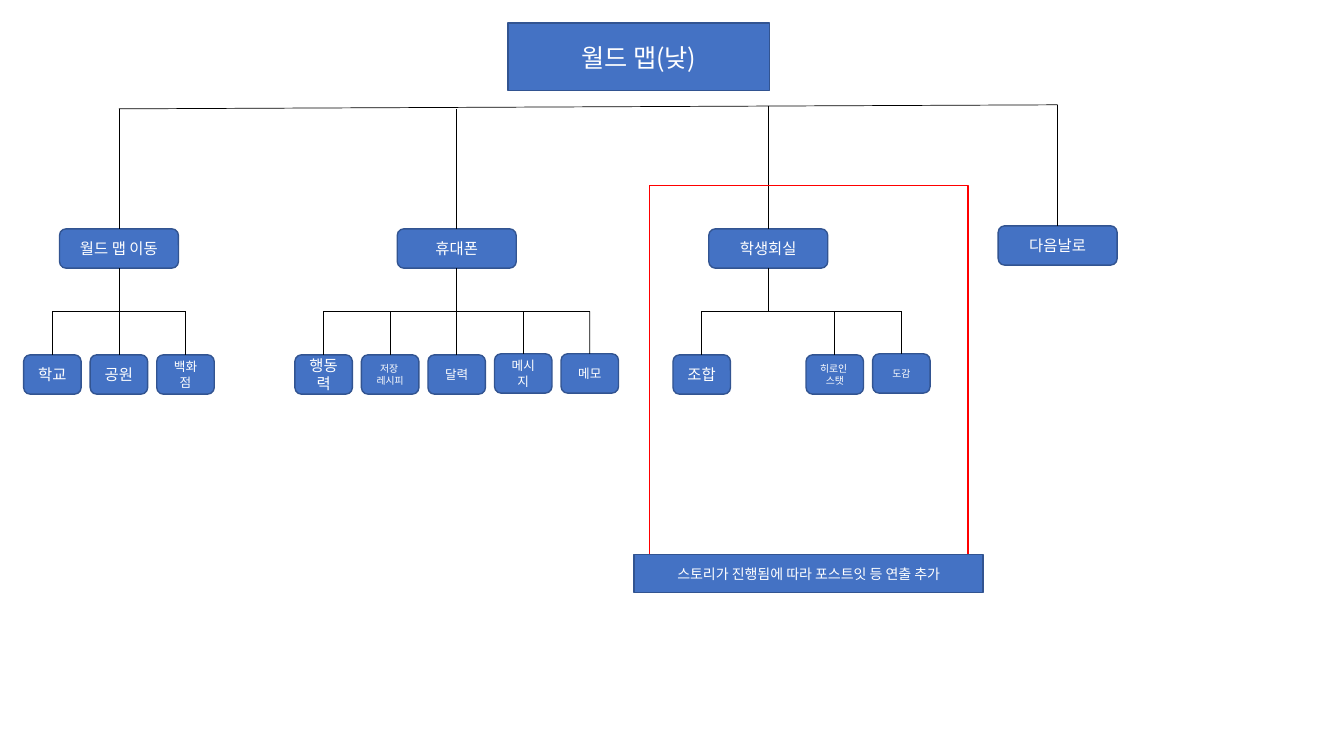
"""Build the daytime world map menu tree slide."""
from dataclasses import dataclass

from lxml.etree import SubElement
from pptx import Presentation
from pptx.dml.color import RGBColor
from pptx.enum.shapes import MSO_CONNECTOR, MSO_SHAPE
from pptx.enum.text import MSO_ANCHOR, MSO_AUTO_SIZE, PP_ALIGN
from pptx.oxml.ns import qn
from pptx.util import Inches, Pt


@dataclass(frozen=True)
class Theme:
    font: str = "Noto Sans CJK KR"
    box_fill: str = "4472C4"
    box_line: str = "325491"
    text: str = "FFFFFF"
    link: str = "000000"
    frame: str = "FF0000"
    title_size: int = 18
    label_size: int = 11
    note_size: int = 10
    small_size: int = 9
    tiny_size: int = 7
    border: float = 1
    link_width: float = 0.5


class MenuPage:
    def __init__(self, page, theme):
        self.page = page
        self.theme = theme

    def outline(self, shape, color, width):
        shape.line.color.rgb = RGBColor.from_string(color)
        shape.line.width = Pt(width)

    def fill(self, shape):
        shape.fill.solid()
        shape.fill.fore_color.rgb = RGBColor.from_string(self.theme.box_fill)
        self.outline(shape, self.theme.box_line, self.theme.border)

    def add_text(self, shape, lines, size):
        frame = shape.text_frame
        frame.word_wrap = True
        frame.auto_size = MSO_AUTO_SIZE.NONE
        frame.vertical_anchor = MSO_ANCHOR.MIDDLE
        for index, line in enumerate(lines):
            para = frame.add_paragraph() if index else frame.paragraphs[0]
            para.alignment = PP_ALIGN.CENTER
            span = para.add_run()
            span.text = line
            span.font.size = Pt(size)
            span.font.name = self.theme.font
            span.font.color.rgb = RGBColor.from_string(self.theme.text)
            SubElement(span.font._element, qn("a:ea"), typeface=self.theme.font)

    def title(self, text, left, top, width, height):
        box = self.page.shapes.title
        box.left, box.top = Inches(left), Inches(top)
        box.width, box.height = Inches(width), Inches(height)
        outline = SubElement(box._element.spPr, qn("a:prstGeom"), prst="roundRect")
        SubElement(outline, qn("a:avLst"))
        self.fill(box)
        self.add_text(box, [text], self.theme.title_size)

    def box(self, lines, size, left, top, width, height, kind=MSO_SHAPE.ROUNDED_RECTANGLE):
        box = self.page.shapes.add_shape(
            kind, Inches(left), Inches(top), Inches(width), Inches(height))
        box.shadow.inherit = False
        self.fill(box)
        self.add_text(box, lines, size)
        return box

    def frame(self, left, top, width, height):
        frame = self.page.shapes.add_shape(
            MSO_SHAPE.RECTANGLE, Inches(left), Inches(top), Inches(width), Inches(height))
        frame.shadow.inherit = False
        frame.fill.background()
        self.outline(frame, self.theme.frame, self.theme.border)

    def link(self, start, end, above=None, below=None):
        link = self.page.shapes.add_connector(
            MSO_CONNECTOR.STRAIGHT, *(Inches(value) for value in (*start, *end)))
        if above is not None:
            link.begin_connect(above, 2)
        if below is not None:
            link.end_connect(below, 0)
        self.outline(link, self.theme.link, self.theme.link_width)
        SubElement(link._element.spPr, qn("a:effectLst"))

    def branch(self, label, center, rail_y, top, leaves):
        width, height = 1.18, 0.39
        leaf_width, step, leaf_rail = 0.57, 0.66, 3.09
        menu = self.box([label], self.theme.label_size, center - width / 2, top, width, height)
        self.link((center, rail_y), (center, top), below=menu)
        if not leaves:
            return
        self.link((center, top + height), (center, leaf_rail), above=menu)
        middles = [center + slot * step for slot, *_ in leaves]
        self.link((middles[0], leaf_rail), (middles[-1], leaf_rail))
        for middle, (_, lines, size, leaf_top) in zip(middles, leaves):
            leaf = self.box(lines, size, middle - leaf_width / 2, leaf_top, leaf_width, height)
            self.link((middle, leaf_rail), (middle, leaf_top), below=leaf)


def main():
    deck = Presentation()
    deck.slide_width, deck.slide_height = Inches(13.33), Inches(7.5)
    theme = Theme()
    label, small, tiny = theme.label_size, theme.small_size, theme.tiny_size
    branches = [
        ("월드 맵 이동", 1.18, 1.08, 2.27, [
            (-1, ["학교"], label, 3.52),
            (0, ["공원"], label, 3.52),
            (1, ["백화점"], small, 3.52)]),
        ("휴대폰", 4.53, 1.08, 2.27, [
            (-2, ["행동력"], label, 3.52),
            (-1, ["저장 ", "레시피"], tiny, 3.52),
            (0, ["달력"], small, 3.52),
            (1, ["메시지"], small, 3.51),
            (2, ["메모"], small, 3.51)]),
        ("학생회실", 7.62, 1.05, 2.27, [
            (-1, ["조합"], label, 3.52),
            (1, ["히로인 ", "스탯"], tiny, 3.52),
            (2, ["도감"], tiny, 3.51)]),
        ("다음날로", 10.49, 1.04, 2.24, []),
    ]
    menu_page = MenuPage(deck.slides.add_slide(deck.slide_layouts[5]), theme)
    menu_page.title("월드 맵(낮)", 5.04, 0.23, 2.59, 0.67)
    menu_page.link((1.18, 1.08), (10.49, 1.04))
    for branch in branches:
        menu_page.branch(*branch)
    menu_page.frame(6.44, 1.84, 3.16, 3.78)
    menu_page.box(["스토리가 진행됨에 따라 포스트잇 등 연출 추가"], theme.note_size,
                  6.29, 5.5, 3.46, 0.38, MSO_SHAPE.RECTANGLE)
    deck.save("out.pptx")


if __name__ == "__main__":
    main()
